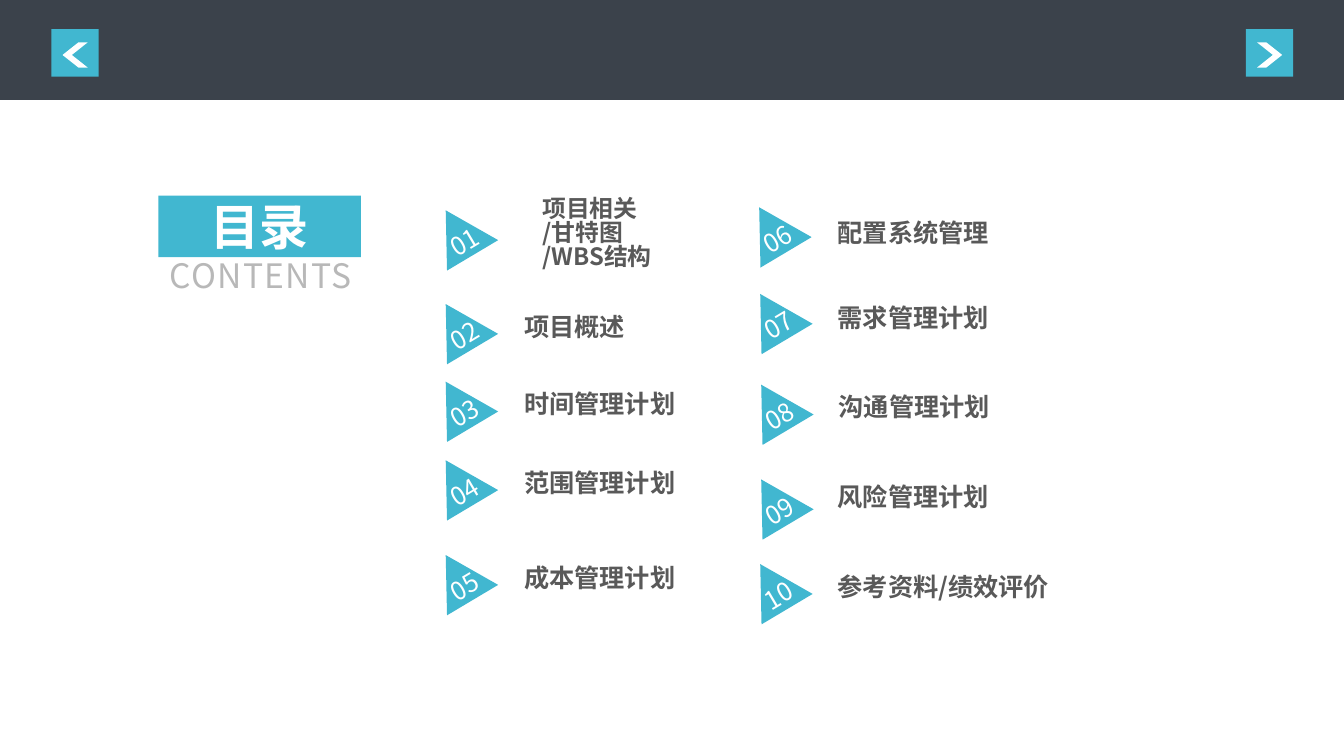
from dataclasses import dataclass

from pptx import Presentation
from pptx.dml.color import RGBColor
from pptx.enum.shapes import MSO_SHAPE
from pptx.enum.text import MSO_ANCHOR, MSO_AUTO_SIZE, PP_ALIGN
from pptx.oxml.ns import qn
from pptx.shapes.autoshape import Shape
from pptx.slide import Slide
from pptx.util import Inches, Pt

RECT, CHEVRON = MSO_SHAPE.RECTANGLE, MSO_SHAPE.CHEVRON
LEFT, CENTER = PP_ALIGN.LEFT, PP_ALIGN.CENTER
TOP, MIDDLE = MSO_ANCHOR.TOP, MSO_ANCHOR.MIDDLE
FIXED = MSO_AUTO_SIZE.NONE

FONT = "Noto Sans CJK SC"
COLORS = {
    "teal": "41B7D0",
    "bar": "3B424B",
    "white": "FFFFFF",
    "gray": "B8B8B8",
    "text": "595959",
}

# The grid has square cells of a tenth of an inch.
CELL = Inches(0.1)
COLS, ROWS = 133.33, 75
MARK_W, MARK_H, TILT = 5.9, 5.2, -30.8
LABEL_W, LABEL_H = 40.5, 4.9
BUTTON, ARROW = 4.7, 2.5


@dataclass(frozen=True)
class Item:
    """A contents entry; drop is how far its label sits below its mark."""
    col: float
    row: float
    text: str
    label: float = 83.1
    drop: float = 0.3
    size: float = 18
    pitch: float = 0.9


@dataclass(frozen=True)
class Button:
    col: float
    turn: float


ITEMS = [
    Item(42.6, 20.5, "项目相关\n/甘特图\n/WBS结构", 53.8, size=17, pitch=0.83),
    Item(42.6, 29.8, "项目概述", 52),
    Item(42.6, 37.5, "时间管理计划", 52),
    Item(42.6, 45.3, "范围管理计划", 52),
    Item(42.6, 54.7, "成本管理计划", 52),
    Item(73.7, 20.2, "配置系统管理", drop=0.6),
    Item(73.8, 28.8, "需求管理计划", drop=0.4),
    Item(73.9, 37.8, "沟通管理计划", 83.2),
    Item(73.9, 47.2, "风险管理计划", drop=-0.2),
    Item(73.8, 55.6, "参考资料/绩效评价"),
]
BUTTONS = [Button(5.1, 180), Button(123.6, 0)]


def grid(*cells: float) -> list[int]:
    return [round(cell * CELL) for cell in cells]


def color(name: str) -> RGBColor:
    return RGBColor.from_string(COLORS[name])


def paint(shape: Shape, fill: str) -> None:
    shape.shadow.inherit = False
    shape.fill.solid()
    shape.fill.fore_color.rgb = color(fill)
    shape.line.fill.background()


def place(shape: Shape, *cells: float) -> None:
    shape.left, shape.top, shape.width, shape.height = grid(*cells)


def write(shape: Shape, text: str, size: float, ink: str, bold: bool = False,
          align: PP_ALIGN = CENTER, anchor: MSO_ANCHOR = MIDDLE,
          inset: float = 0, pitch: float = 1.0, track: int = 0) -> None:
    """Set text; inset is the top margin in cells, track is in 1/100 pt."""
    frame = shape.text_frame
    frame.text = text
    frame.word_wrap = True
    frame.auto_size = FIXED
    frame.vertical_anchor = anchor
    frame.margin_left = frame.margin_right = frame.margin_bottom = 0
    frame.margin_top = grid(inset)[0]
    for para in frame.paragraphs:
        para.alignment = align
        para.line_spacing = pitch
        para.space_before = Pt(0)
        for run in para.runs:
            run.font.name = FONT
            run.font.size = Pt(size)
            run.font.bold = bold
            run.font.color.rgb = color(ink)
            props = run._r.get_or_add_rPr()
            east = props.makeelement(qn("a:ea"), {"typeface": FONT})
            props.find(qn("a:latin")).addnext(east)
            if track:
                props.set("spc", str(track))


def add_box(slide: Slide, kind: MSO_SHAPE, fill: str, *cells: float) -> Shape:
    shape = slide.shapes.add_shape(kind, *grid(*cells))
    paint(shape, fill)
    return shape


def add_mark(slide: Slide, item: Item, number: int) -> None:
    """Draw the tilted triangle that holds the number."""
    base = item.row + MARK_H
    path = slide.shapes.build_freeform(*grid(item.col + MARK_W / 2, item.row))
    path.add_line_segments([
        grid(item.col + MARK_W, base),
        grid(item.col, base),
    ])
    mark = path.convert_to_shape()
    paint(mark, "teal")
    mark.rotation = TILT
    write(mark, f"{number:02}", 18, "white", inset=2)


def add_item(slide: Slide, item: Item, number: int) -> None:
    label = slide.shapes.add_textbox(
        *grid(item.label, item.row + item.drop, LABEL_W, LABEL_H))
    write(label, item.text, item.size, "text", bold=True, align=LEFT,
          pitch=item.pitch)
    add_mark(slide, item, number)


def add_button(slide: Slide, button: Button) -> None:
    add_box(slide, RECT, "teal", button.col, 2.9, BUTTON, BUTTON)
    arrow = add_box(slide, CHEVRON, "white",
                    button.col + (BUTTON - ARROW) / 2, 4.2, ARROW, ARROW)
    arrow.adjustments[0] = 0.63
    arrow.rotation = button.turn


def main() -> None:
    deck = Presentation()
    deck.slide_width, deck.slide_height = grid(COLS, ROWS)
    slide = deck.slides.add_slide(deck.slide_layouts[0])

    title, sub = slide.placeholders
    place(title, 15.7, 19.4, 20.1, 6.1)
    title.fill.solid()
    title.fill.fore_color.rgb = color("teal")
    write(title, "目录", 35.1, "white", bold=True)
    place(sub, 15.8, 25.7, 20.1, 5.4)
    write(sub, "CONTENTS", 24, "gray", anchor=TOP, pitch=0.9, track=100)

    add_box(slide, RECT, "bar", 0, 0, COLS, 9.9)
    for button in BUTTONS:
        add_button(slide, button)
    for number, item in enumerate(ITEMS, 1):
        add_item(slide, item, number)

    deck.save("out.pptx")


if __name__ == "__main__":
    main()
